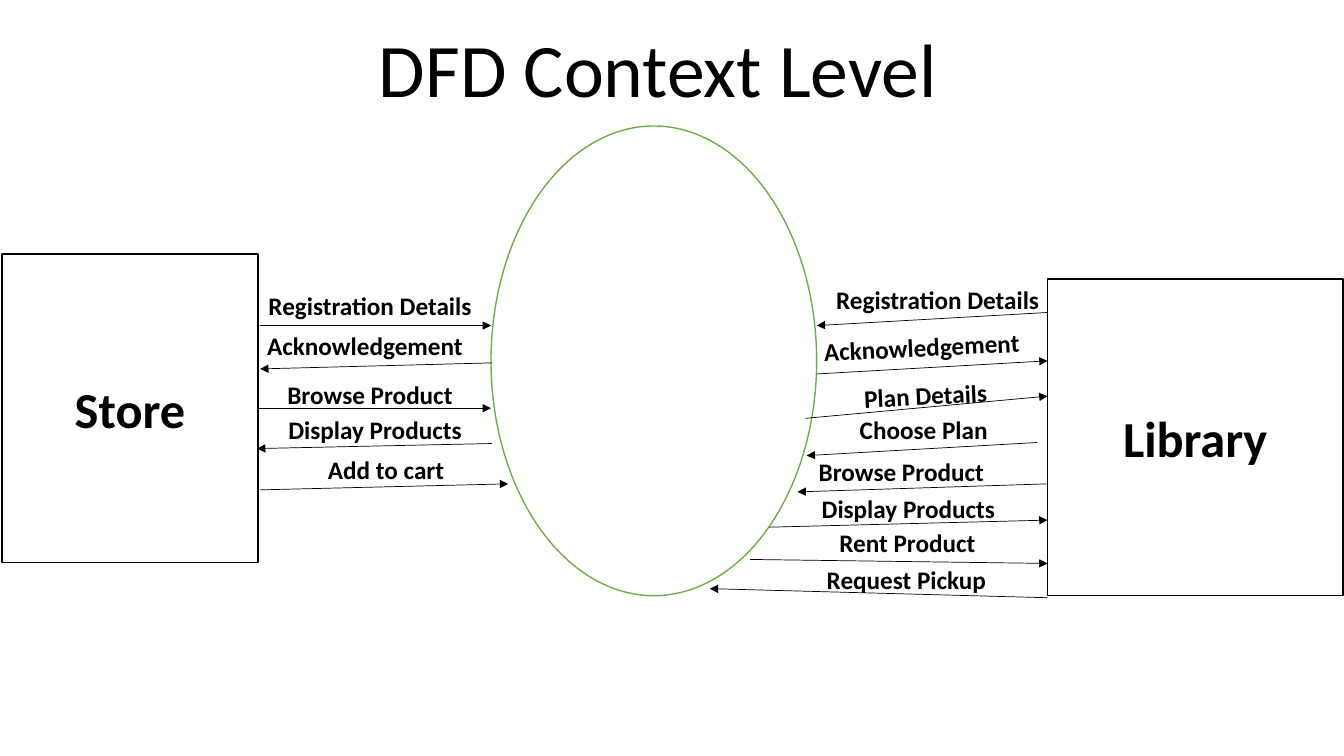
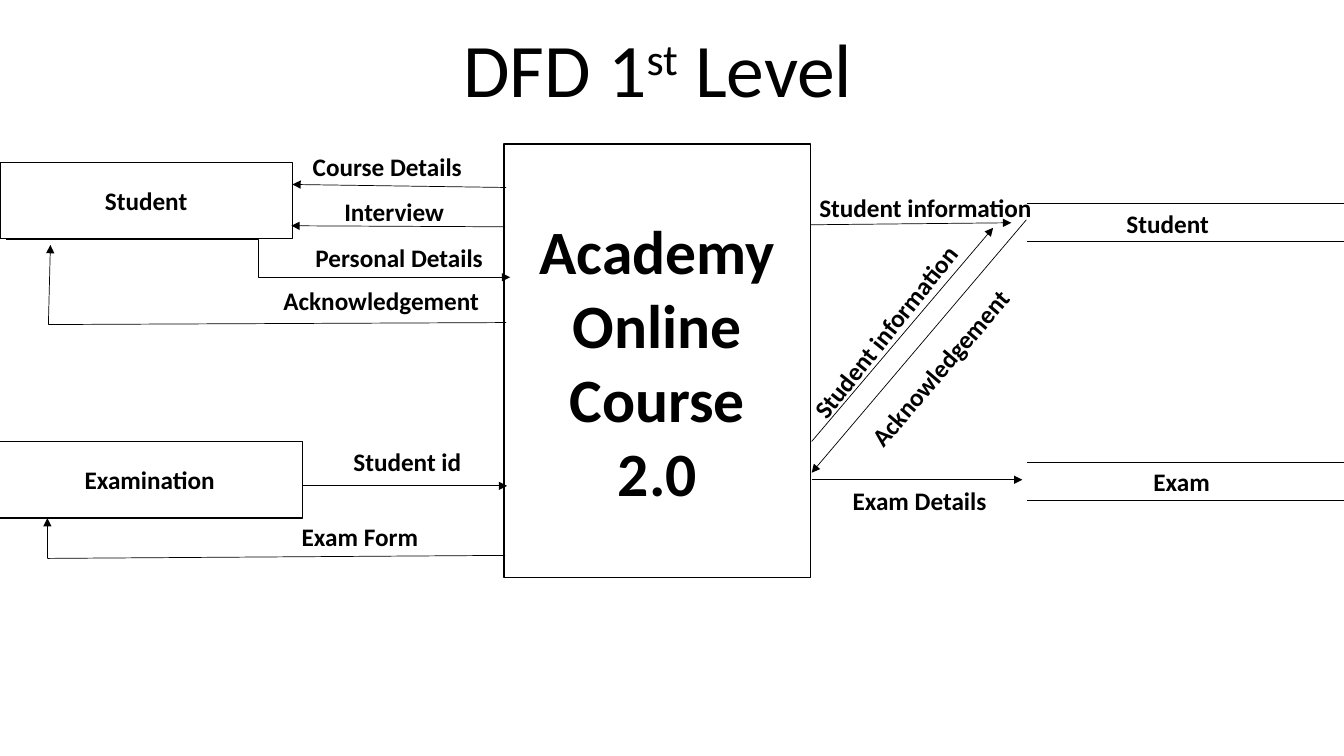
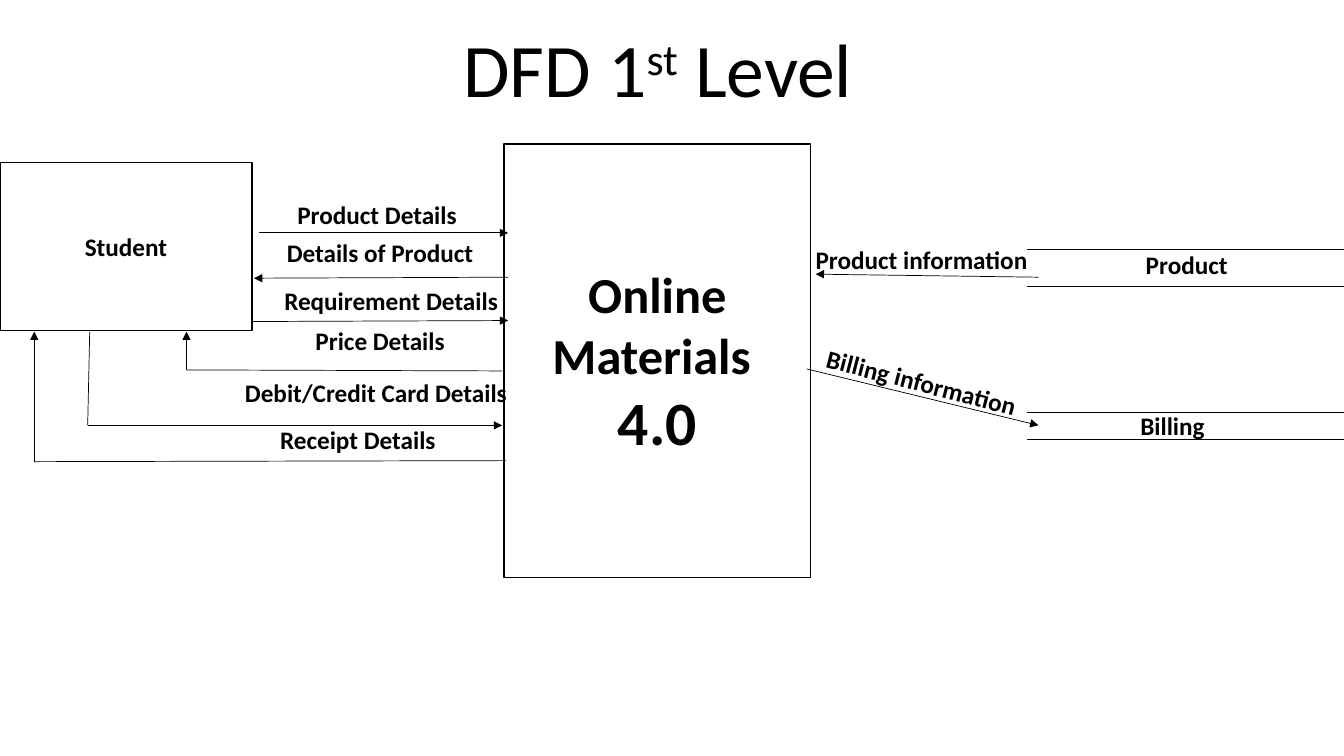
from itertools import pairwise

from lxml import etree
from pptx import Presentation
from pptx import util as u
from pptx.dml.color import RGBColor
from pptx.enum import shapes, text
from pptx.oxml.ns import qn

PX = 9144  # EMU in one px, 100 px to the inch
WIDE, HIGH = 1333, 750
FONT, INK, PAPER, GREEN = "Calibri", "000000", "FFFFFF", "70AD47"
RECT, OVAL = shapes.MSO_SHAPE.RECTANGLE, shapes.MSO_SHAPE.OVAL
LINE, BENT = shapes.MSO_CONNECTOR.STRAIGHT, shapes.MSO_CONNECTOR.ELBOW


def px(*vals):
    return [u.Emu(val * PX) for val in vals]


def color(code):
    return RGBColor.from_string(code)


class Deck:
    """Style of the diagrams and the slide being drawn."""

    def __init__(self):
        self.prs = Presentation()
        self.prs.slide_width, self.prs.slide_height = px(WIDE, HIGH)
        self.slide = None

    def start(self, *runs):
        """New slide with a title; every second run is raised."""
        self.slide = self.prs.slides.add_slide(self.prs.slide_layouts[6])
        box = self.slide.shapes.add_textbox(*px(363, 17, 579, 101))
        para = box.text_frame.paragraphs[0]
        self.style(para, 54, False)
        for i, part in enumerate(runs):
            run = para.add_run()
            run.text = part
            if i % 2:
                run.font._element.set("baseline", "30000")

    def style(self, para, size, bold=True):
        para.alignment = text.PP_ALIGN.CENTER
        font = para.font
        font.name, font.size, font.bold = FONT, u.Pt(size), bold
        font.color.rgb = color(INK)

    def box(self, x, y, w, h, *lines, kind=RECT, edge=INK):
        """Outlined shape; each line is a (text, size) pair."""
        shape = self.slide.shapes.add_shape(kind, *px(x, y, w, h))
        shape.shadow.inherit = False
        shape.fill.solid()
        shape.fill.fore_color.rgb = color(PAPER)
        shape.line.color.rgb = color(edge)
        shape.line.width = u.Pt(1)
        frame = shape.text_frame
        frame.word_wrap = True
        frame.vertical_anchor = text.MSO_ANCHOR.MIDDLE
        for i, (words, size) in enumerate(lines):
            para = frame.add_paragraph() if i else frame.paragraphs[0]
            para.text = words
            self.style(para, size)
        return shape

    def label(self, mid, y, words, turn=0):
        """Bold caption centred on mid."""
        box = self.slide.shapes.add_textbox(*px(mid - 160, y, 320, 40))
        box.rotation = turn
        box.text_frame.word_wrap = True
        para = box.text_frame.paragraphs[0]
        para.text = words
        self.style(para, 18)

    def line(self, x1, y1, x2, y2, head=False, kind=LINE):
        link = self.slide.shapes.add_connector(kind, *px(x1, y1, x2, y2))
        link.line.color.rgb = color(INK)
        link.line.width = u.Pt(0.5)
        if head:
            tip = etree.SubElement(link.line._get_or_add_ln(), qn("a:tailEnd"))
            tip.set("type", "triangle")
        etree.SubElement(link._element.spPr, qn("a:effectLst"))
        return link

    def route(self, *dots):
        """Straight legs through the dots, with a head on the last."""
        legs = list(pairwise(dots))
        for i, (a, b) in enumerate(legs, 1):
            self.line(*a, *b, head=i == len(legs))

    def store(self, y, h, mid, top, words):
        """Open-ended data store at the right edge."""
        for edge in (y, y + h):
            self.line(1019, edge, WIDE, edge)
        self.label(mid, top, words)

    def flows(self, labels, routes):
        for dots in routes:
            self.route(*dots)
        for item in labels:
            self.label(*item)


def context(deck):
    deck.start("DFD Context Level")
    store = deck.box(2, 252, 254, 306, ("Store", 36))
    deck.box(1039, 277, 293, 314, ("Library", 36))
    deck.box(487, 125, 323, 466, kind=OVAL, edge=GREEN)
    browse = deck.line(256, 405, 487, 405, head=True)
    browse.begin_connect(store, 3)
    deck.flows(
        labels=[
            # Store side
            (367, 283, "Registration Details"),
            (362, 323, "Acknowledgement"),
            (367, 371, "Browse Product"),
            (372, 406, "Display Products"),
            (383, 446, "Add to cart"),
            # Library side
            (930, 277, "Registration Details"),
            (914, 324, "Acknowledgement", 357.2),
            (918, 372, "Plan Details", 357.2),
            (919, 406, "Choose Plan "),
            (894, 448, "Browse Product"),
            (901, 484, "Display Products"),
            (900, 518, "Rent Product"),
            (899, 555, "Request Pickup"),
        ],
        routes=[
            # Store side
            [(258, 323), (487, 323)],
            [(488, 360), (258, 366)],
            [(488, 440), (255, 445)],
            [(258, 486), (504, 480)],
            # Library side
            [(1039, 310), (810, 323)],
            [(810, 371), (1039, 358)],
            [(799, 415), (1039, 393)],
            [(1029, 439), (800, 452)],
            [(1039, 480), (791, 488)],
            [(763, 523), (1039, 516)],
            [(744, 555), (1039, 559)],
            [(1039, 593), (704, 584)],
        ],
    )


def first_level(deck, *lines):
    """Title and central process of a first-level diagram."""
    deck.start("DFD 1", "st", " Level")
    deck.box(500, 143, 304, 430, *lines)


def course(deck):
    first_level(deck, ("Academy", 44), ("Online Course", 44), ("2.0", 44))
    deck.box(0, 161, 290, 76, ("Student", 18))
    deck.box(-3, 438, 303, 76, ("Examination", 18))
    deck.store(202, 37, 1161, 202, "Student ")
    deck.store(459, 37, 1172, 458, "Exam")
    deck.line(6, 237, 506, 275, head=True, kind=BENT)
    deck.flows(
        labels=[
            # Student and examination
            (387, 145, "Course Details "),
            (391, 190, "Interview"),
            (396, 236, "Personal Details"),
            (381, 278, "Acknowledgement "),
            (404, 438, "Student id"),
            (357, 512, "Exam Form"),
            # Data stores
            (918, 186, "Student information"),
            (878, 309, "Student information", 308.6),
            (932, 345, "Acknowledgement", 310.5),
            (912, 477, "Exam Details"),
        ],
        routes=[
            # Student and examination
            [(502, 186), (290, 183)],
            [(501, 225), (289, 224)],
            [(502, 320), (48, 322), (50, 243)],
            [(300, 482), (503, 482)],
            [(501, 551), (47, 554), (47, 514)],
            # Data stores
            [(804, 223), (1003, 221)],
            [(805, 438), (985, 226)],
            [(1018, 218), (805, 469)],
            [(805, 476), (1014, 476)],
        ],
    )


def materials(deck):
    first_level(deck, ("Online Materials ", 36), ("4.0", 44))
    deck.box(0, 161, 250, 167, ("Student", 18))
    deck.store(247, 37, 1177, 242, "Product")
    deck.store(409, 27, 1163, 402, "Billing")
    deck.flows(
        labels=[
            # Student
            (374, 193, "Product Details"),
            (377, 231, "Details of Product"),
            (388, 278, "Requirement Details"),
            (377, 318, "Price Details"),
            (373, 369, "Debit/Credit Card Details"),
            (355, 416, "Receipt Details"),
            # Data stores
            (914, 237, "Product information"),
            (914, 359, "Billing information", 14.5),
        ],
        routes=[
            # Student
            [(257, 231), (504, 231)],
            [(504, 275), (252, 276)],
            [(251, 319), (504, 318)],
            [(498, 368), (185, 367), (185, 329)],
            [(89, 329), (87, 422), (498, 422)],
            [(502, 457), (34, 458), (34, 329)],
            # Data stores
            [(1030, 275), (809, 272)],
            [(800, 366), (1030, 422)],
        ],
    )


def main():
    deck = Deck()
    for draw in (context, course, materials):
        draw(deck)
    deck.prs.save("out.pptx")


if __name__ == "__main__":
    main()
